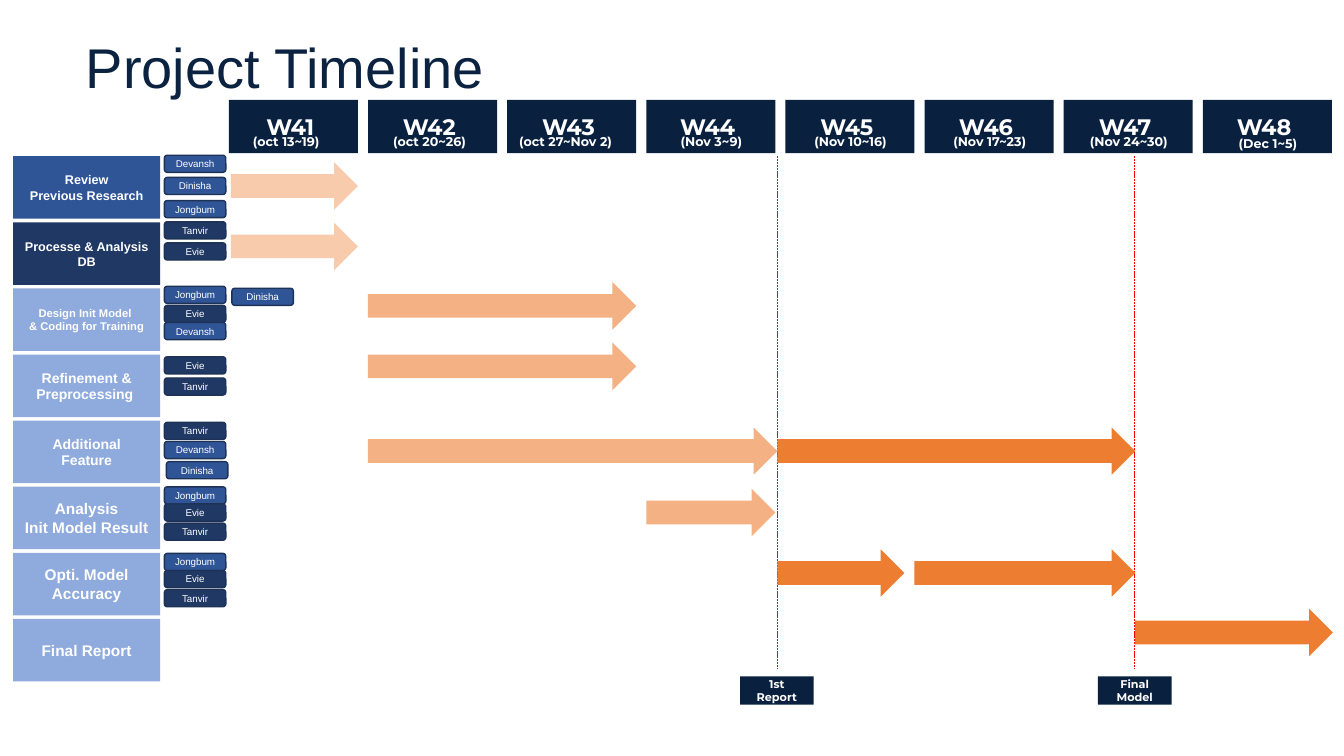
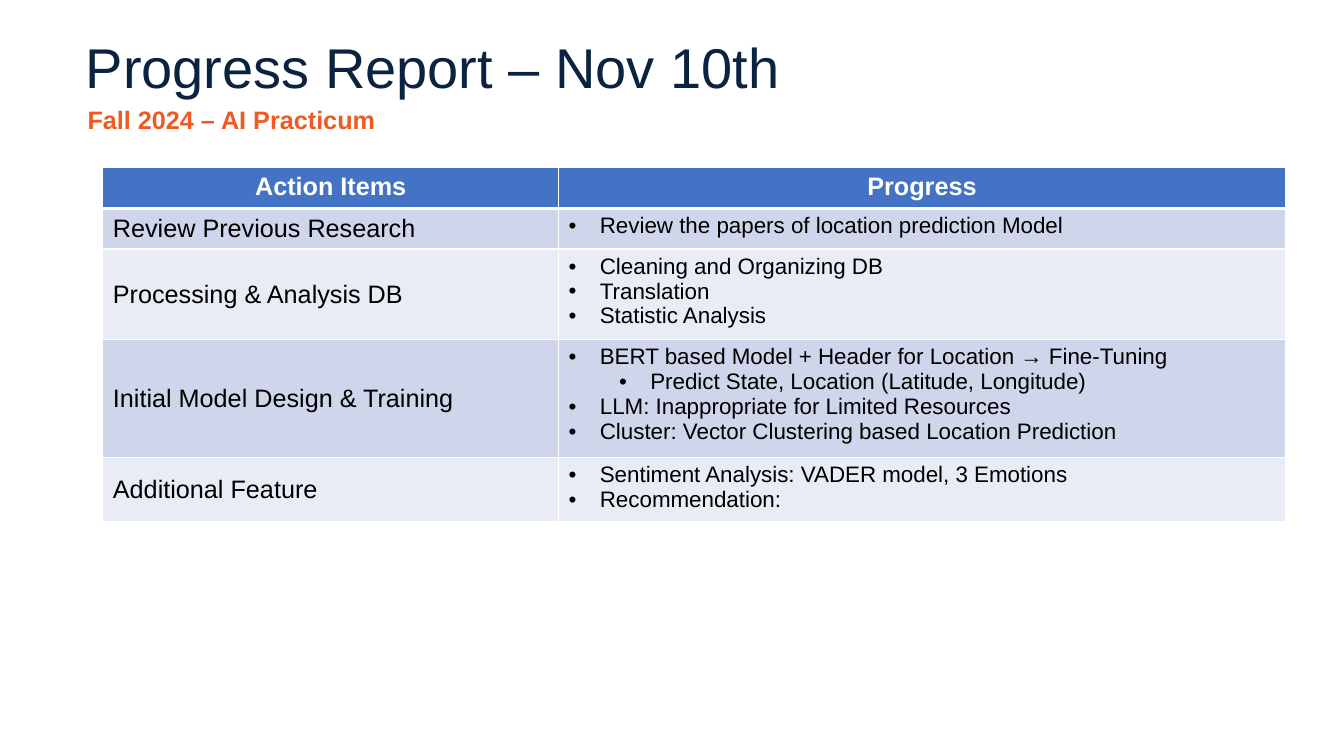
"""Build a project timeline slide and a progress report slide."""
from dataclasses import dataclass
from typing import NamedTuple

import lxml.etree
import pptx
import pptx.dml.color
import pptx.enum.dml
import pptx.enum.shapes
import pptx.enum.text
import pptx.oxml.ns
import pptx.presentation
import pptx.shapes.autoshape
import pptx.slide
import pptx.table
import pptx.text.text
import pptx.util

Inches = pptx.util.Inches
Pt = pptx.util.Pt
RGBColor = pptx.dml.color.RGBColor
Align = pptx.enum.text.PP_ALIGN
Anchor = pptx.enum.text.MSO_ANCHOR
Kind = pptx.enum.shapes.MSO_SHAPE
qn = pptx.oxml.ns.qn

INK = RGBColor(0x0B, 0x23, 0x40)
DARK = RGBColor(0x09, 0x21, 0x3F)
NAVY = RGBColor(0x20, 0x38, 0x64)
BLUE = RGBColor(0x2F, 0x55, 0x97)
SKY = RGBColor(0x8F, 0xAA, 0xDC)
EDGE = RGBColor(0x1E, 0x32, 0x56)
PALE = RGBColor(0xF8, 0xCB, 0xAD)
PEACH = RGBColor(0xF4, 0xB1, 0x83)
ORANGE = RGBColor(0xED, 0x7D, 0x31)
FLAME = RGBColor(0xF0, 0x5A, 0x21)
RED = RGBColor(0xFF, 0x00, 0x00)
HEAD = RGBColor(0x44, 0x72, 0xC4)
BANDS = (RGBColor(0xCF, 0xD5, 0xEA), RGBColor(0xE9, 0xEB, 0xF5))
WHITE = RGBColor(0xFF, 0xFF, 0xFF)
BLACK = RGBColor(0x00, 0x00, 0x00)

WEEK_LEFT, WEEK_STEP, WEEK_WIDE = 2.27, 1.38, 1.28
TASK_TOP, TASK_LAST, TASK_HIGH = 1.55, 6.14, 0.62


class Box(NamedTuple):
    left: float
    top: float
    wide: float
    high: float


class Font(NamedTuple):
    size: float
    color: RGBColor = WHITE
    bold: bool = False
    name: str = "Arial"


class Week(NamedTuple):
    name: str
    dates: str
    shift: float = -0.1
    wide: float = 1.49
    align: Align = Align.CENTER
    top: float = 1.28


class Tag(NamedTuple):
    name: str
    top: float
    left: float = 1.63


@dataclass
class Task:
    lines: tuple[str, ...]
    size: int
    tags: tuple[Tag, ...] = ()
    fill: RGBColor = SKY


class Bar(NamedTuple):
    left: float
    top: float
    wide: float
    fill: RGBColor


class Goal(NamedTuple):
    lines: tuple[str, ...]
    left: float
    line: float


class Item(NamedTuple):
    text: str
    level: int = 0


class Entry(NamedTuple):
    name: str
    items: tuple[Item, ...]


WEEKS = (
    Week("W41 ", "(oct 13~19)", 0.14, 1.11, Align.LEFT),
    Week("W42 ", "(oct 20~26)", 0.15, 1.11, Align.LEFT),
    Week("W43 ", "(oct 27~Nov 2)", 0.02, 1.49, Align.LEFT),
    Week("W44 ", "(Nov 3~9)"),
    Week("W45 ", "(Nov 10~16)"),
    Week("W46 ", "(Nov 17~23)"),
    Week("W47 ", "(Nov 24~30)"),
    Week("W48 ", "(Dec 1~5)", top=1.3),
)
TASKS = (
    Task(("Review", "Previous Research"), 9,
         (Tag("Devansh", 1.54), Tag("Dinisha", 1.76), Tag("Jongbum", 1.99)), BLUE),
    Task(("Processe & Analysis", "DB"), 9, (Tag("Tanvir", 2.2), Tag("Evie", 2.41)), NAVY),
    Task(("Design Init Model ", "& Coding for Training"), 8,
         (Tag("Jongbum", 2.84), Tag("Evie", 3.03), Tag("Devansh", 3.2), Tag("Dinisha", 2.86, 2.3))),
    Task(("Refinement & Preprocessing ",), 10, (Tag("Evie", 3.54), Tag("Tanvir", 3.75))),
    Task(("Additional", "Feature"), 10,
         (Tag("Tanvir", 4.19), Tag("Devansh", 4.38), Tag("Dinisha", 4.58, 1.65))),
    Task(("Analysis", "Init Model Result"), 11,
         (Tag("Jongbum", 4.83), Tag("Evie", 5), Tag("Tanvir", 5.19))),
    Task(("Opti. Model Accuracy",), 11,
         (Tag("Jongbum", 5.49), Tag("Evie", 5.66), Tag("Tanvir", 5.85))),
    Task(("Final Report",), 11),
)
TEAMS = {"Devansh": BLUE, "Dinisha": BLUE, "Jongbum": BLUE, "Tanvir": NAVY, "Evie": NAVY}
BARS = (
    Bar(2.29, 1.61, 1.26, PALE),
    Bar(2.29, 2.21, 1.26, PALE),
    Bar(3.65, 2.8, 2.66, PEACH),
    Bar(3.65, 3.4, 2.66, PEACH),
    Bar(3.65, 4.24, 4.06, PEACH),
    Bar(7.71, 4.24, 3.55, ORANGE),
    Bar(6.41, 4.85, 1.28, PEACH),
    Bar(7.71, 5.45, 1.26, ORANGE),
    Bar(9.07, 5.45, 2.19, ORANGE),
    Bar(11.26, 6.04, 1.96, ORANGE),
)
GOALS = (Goal(("1st", "Report"), 7.34, 7.71), Goal(("Final", "Model"), 10.89, 11.25))
ENTRIES = (
    Entry("Review Previous Research", (Item("Review the papers of location prediction Model"),)),
    Entry("Processing & Analysis DB",
          (Item("Cleaning and Organizing DB"), Item("Translation"), Item("Statistic Analysis"))),
    Entry("Initial Model Design & Training",
          (Item("BERT based Model + Header for Location → Fine-Tuning"),
           Item("Predict State, Location (Latitude, Longitude)", 1),
           Item("LLM: Inappropriate for Limited Resources"),
           Item("Cluster: Vector Clustering based Location Prediction"))),
    Entry("Additional Feature",
          (Item("Sentiment Analysis: VADER model, 3 Emotions"), Item("Recommendation:"))),
)
COLUMNS = (4.52, 7.21)
ROWS = (0.41, 0.4, 0.9, 1.17, 0.63)


def write(frame: pptx.text.text.TextFrame, lines: tuple[str, ...], font: Font,
          align: Align = Align.LEFT) -> None:
    for i, line in enumerate(lines):
        para = frame.paragraphs[0] if i == 0 else frame.add_paragraph()
        para.alignment = align
        run = para.add_run()
        run.text = line
        run.font.name, run.font.size, run.font.bold = font.name, Pt(font.size), font.bold
        run.font.color.rgb = font.color


def place(box: Box) -> tuple[pptx.util.Length, ...]:
    return tuple(Inches(side) for side in box)


def add_slide(deck: pptx.presentation.Presentation, text: str, wide: float) -> pptx.slide.Slide:
    slide = deck.slides.add_slide(deck.slide_layouts[5])
    title = slide.shapes.title
    title.left, title.top, title.width, title.height = place(Box(0.75, 0.27, wide, 0.77))
    frame = title.text_frame
    frame.auto_size = pptx.enum.text.MSO_AUTO_SIZE.NONE
    frame.word_wrap = False
    frame.vertical_anchor = Anchor.TOP
    write(frame, (text,), Font(40, INK))
    return slide


def add_block(slide: pptx.slide.Slide, kind: Kind, box: Box,
              fill: RGBColor) -> pptx.shapes.autoshape.Shape:
    shape = slide.shapes.add_shape(kind, *place(box))
    shape.shadow.inherit = False
    shape.fill.solid()
    shape.fill.fore_color.rgb = fill
    shape.line.fill.background()
    shape.text_frame.vertical_anchor = Anchor.MIDDLE
    return shape


def add_label(slide: pptx.slide.Slide, box: Box, fill: RGBColor,
              lines: tuple[str, ...], font: Font) -> None:
    shape = add_block(slide, Kind.RECTANGLE, box, fill)
    write(shape.text_frame, lines, font, Align.CENTER)


def add_note(slide: pptx.slide.Slide, box: Box, text: str, font: Font, align: Align) -> None:
    frame = slide.shapes.add_textbox(*place(box)).text_frame
    frame.word_wrap = True
    write(frame, (text,), font, align)


def add_tag(slide: pptx.slide.Slide, tag: Tag) -> None:
    box = Box(tag.left, tag.top, 0.61, 0.17)
    shape = add_block(slide, Kind.ROUNDED_RECTANGLE, box, TEAMS[tag.name])
    shape.line.color.rgb = EDGE
    shape.line.width = Pt(1)
    shape.text_frame.word_wrap = False
    write(shape.text_frame, (tag.name,), Font(7), Align.CENTER)


def add_goal(slide: pptx.slide.Slide, goal: Goal) -> None:
    ends = place(Box(goal.line, 1.55, goal.line, 6.63))
    rule = slide.shapes.add_connector(pptx.enum.shapes.MSO_CONNECTOR.STRAIGHT, *ends)
    rule.line.color.rgb = RED
    rule.line.width = Pt(0.5)
    rule.line.dash_style = pptx.enum.dml.MSO_LINE.SQUARE_DOT
    lxml.etree.SubElement(rule.element.spPr, qn("a:effectLst"))
    add_label(slide, Box(goal.left, 6.71, 0.73, 0.28), DARK, goal.lines,
              Font(8, bold=True, name="Montserrat"))


def draw_plan(deck: pptx.presentation.Presentation) -> None:
    slide = add_slide(deck, "Project Timeline", 4.19)
    for i, week in enumerate(WEEKS):
        left = WEEK_LEFT + i * WEEK_STEP
        add_label(slide, Box(left, 0.99, WEEK_WIDE, 0.53), DARK, (week.name,),
                  Font(16, bold=True, name="Montserrat"))
        add_note(slide, Box(left + week.shift, week.top, week.wide, 0.25), week.dates,
                 Font(9, bold=True, name="Montserrat"), week.align)
    for goal in GOALS:
        add_goal(slide, goal)
    for bar in BARS:
        add_block(slide, Kind.RIGHT_ARROW, Box(bar.left, bar.top, bar.wide, 0.47), bar.fill)
    step = (TASK_LAST - TASK_TOP) / (len(TASKS) - 1)
    for i, task in enumerate(TASKS):
        add_label(slide, Box(0.13, TASK_TOP + i * step, 1.46, TASK_HIGH), task.fill,
                  task.lines, Font(task.size, bold=True))
        for tag in task.tags:
            add_tag(slide, tag)


def style_cell(cell: pptx.table._Cell, fill: RGBColor, top: float, base: float) -> None:
    props = cell._tc.get_or_add_tcPr()
    for side, width in (("L", 1), ("R", 1), ("T", top), ("B", base)):
        line = lxml.etree.SubElement(props, qn(f"a:ln{side}"), w=str(Pt(width)))
        solid = lxml.etree.SubElement(line, qn("a:solidFill"))
        lxml.etree.SubElement(solid, qn("a:srgbClr"), val=str(WHITE))
    cell.fill.solid()
    cell.fill.fore_color.rgb = fill


def add_bullet(para: pptx.text.text._Paragraph, level: int) -> None:
    para.level = level
    props = para._p.get_or_add_pPr()
    props.set("marL", str(Inches(0.31 + level * 0.5)))
    props.set("indent", str(Inches(-0.31)))
    lxml.etree.SubElement(props, qn("a:buFont"), typeface="Arial")
    lxml.etree.SubElement(props, qn("a:buChar"), char="•")


def draw_report(deck: pptx.presentation.Presentation) -> None:
    slide = add_slide(deck, "Progress Report – Nov 10th", 7.16)
    add_note(slide, Box(0.77, 0.99, 5.81, 0.4), "Fall 2024 – AI Practicum",
             Font(18, FLAME, True), Align.LEFT)
    box = Box(1.02, 1.66, sum(COLUMNS), sum(ROWS))
    table = slide.shapes.add_table(len(ROWS), len(COLUMNS), *place(box)).table
    for column, wide in zip(table.columns, COLUMNS):
        column.width = Inches(wide)
    for row, high in zip(table.rows, ROWS):
        row.height = Inches(high)
    for i, text in enumerate(("Action Items", "Progress")):
        cell = table.cell(0, i)
        style_cell(cell, HEAD, 1, 3)
        write(cell.text_frame, (text,), Font(18, bold=True), Align.CENTER)
    for i, entry in enumerate(ENTRIES, 1):
        name, work = table.cell(i, 0), table.cell(i, 1)
        for cell in (name, work):
            style_cell(cell, BANDS[(i - 1) % 2], 3 if i == 1 else 1, 1)
        name.vertical_anchor = Anchor.MIDDLE
        write(name.text_frame, (entry.name,), Font(18, BLACK))
        write(work.text_frame, tuple(item.text for item in entry.items), Font(16, BLACK))
        for para, item in zip(work.text_frame.paragraphs, entry.items):
            add_bullet(para, item.level)


def main() -> None:
    deck = pptx.Presentation()
    deck.slide_width, deck.slide_height = Inches(13.33), Inches(7.5)
    draw_plan(deck)
    draw_report(deck)
    deck.save("out.pptx")


if __name__ == "__main__":
    main()
